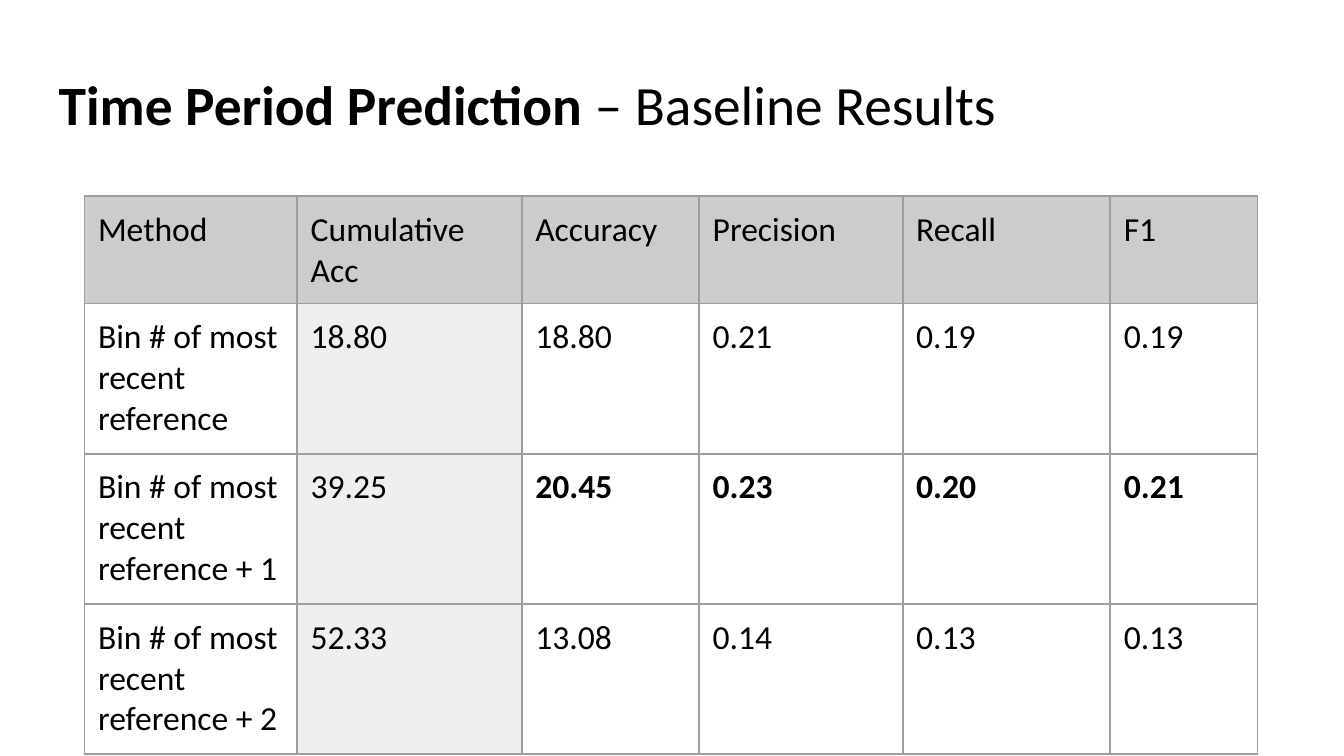
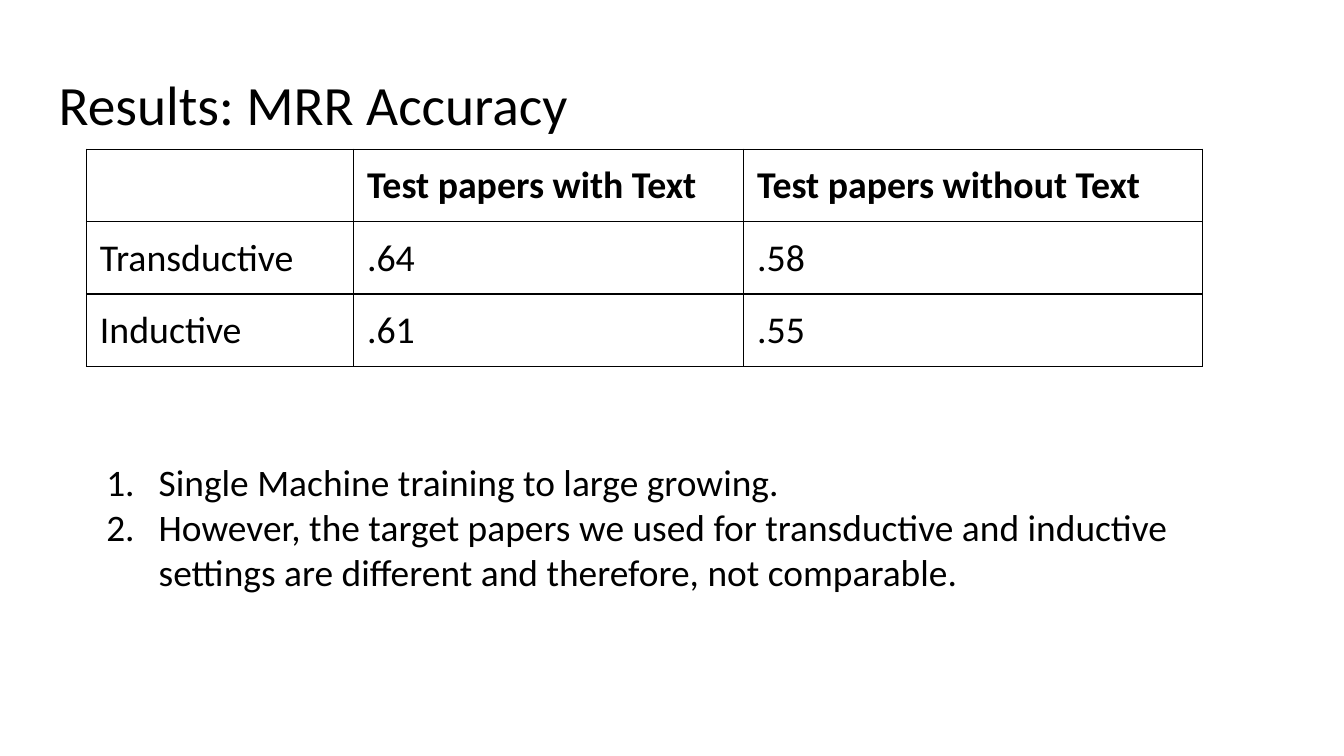
from dataclasses import dataclass
from lxml.etree import SubElement
from pptx import Presentation
from pptx.dml.color import RGBColor
from pptx.enum.text import MSO_ANCHOR
from pptx.oxml import parse_xml
from pptx.oxml.ns import nsdecls, qn
from pptx.slide import Slide
from pptx.table import _Cell
from pptx.text.text import TextFrame
from pptx.util import Cm, Pt

FONT = "Calibri"
BLACK, GREY, HEAD, PALE = "000000", "9E9E9E", "CCCCCC", "EFEFEF"
PAD = Cm(0.34)


@dataclass(frozen=True)
class Grid:
    left: float
    top: float
    cols: tuple[float, ...]
    rows: tuple[float, ...]
    text: tuple[tuple[str, ...], ...]
    size: float
    edge: str
    width: float
    bold: frozenset[tuple[int, int]]
    shaded: bool = False

    def fill(self, row: int, col: int) -> str | None:
        if not self.shaded:
            return None
        if row == 0:
            return HEAD
        return PALE if col == 1 else None


BASE = Grid(
    2.13, 4.93,
    (5.36, 5.66, 4.47, 5.13, 5.23, 3.71),
    (2.72,) + (3.78,) * 3,
    (
        ("Method", "Cumulative Acc", "Accuracy", "Precision", "Recall", "F1"),
        ("Bin # of most recent reference", "18.80", "18.80", "0.21", "0.19", "0.19"),
        ("Bin # of most recent reference + 1", "39.25", "20.45", "0.23", "0.20", "0.21"),
        ("Bin # of most recent reference + 2", "52.33", "13.08", "0.14", "0.13", "0.13"),
    ),
    24, GREY, 1.5,
    frozenset((2, col) for col in range(2, 6)),
    shaded=True,
)

MRR = Grid(
    2.18, 3.76,
    (6.73, 9.83, 11.56),
    (1.82,) * 3,
    (
        ("", "Test papers with Text", "Test papers without Text"),
        ("Transductive", ".64", ".58"),
        ("Inductive", ".61", ".55"),
    ),
    27, BLACK, 1,
    frozenset({(0, 1), (0, 2)}),
)

NOTES = (
    "Single Machine training to large growing.",
    "However, the target papers we used for transductive and inductive "
    "settings are different and therefore, not comparable.",
)


def paint(target, color: str) -> None:
    target.rgb = RGBColor.from_string(color)


def style(font, size: float, bold: bool | None = False) -> None:
    font.name = FONT
    font.size = Pt(size)
    font.bold = bold
    paint(font.color, BLACK)


def add_box(slide: Slide, left: float, top: float, width: float, height: float) -> TextFrame:
    frame = slide.shapes.add_textbox(Cm(left), Cm(top), Cm(width), Cm(height)).text_frame
    frame.word_wrap = True
    frame.margin_left = frame.margin_right = PAD
    frame.margin_top = frame.margin_bottom = PAD
    return frame


def add_title(slide: Slide, plain: str, strong: str = "") -> None:
    frame = add_box(slide, 1.14, 1.65, 31.55, 2.13)
    frame.vertical_anchor = MSO_ANCHOR.MIDDLE
    par = frame.paragraphs[0]
    par.line_spacing = 0.9
    style(par.font, 39.6, None)
    for text, bold in ((strong, True), (plain, False)):
        if text:
            run = par.add_run()
            run.text = text
            run.font.bold = bold


def add_edges(cell: _Cell, color: str, width: float) -> None:
    props = cell._tc.get_or_add_tcPr()
    for spot, side in enumerate("LRTB"):
        props.insert(spot, parse_xml(
            f'<a:ln{side} {nsdecls("a")} w="{Pt(width)}"><a:solidFill>'
            f'<a:srgbClr val="{color}"/></a:solidFill></a:ln{side}>'
        ))


def fill_cell(cell: _Cell, grid: Grid, row: int, col: int) -> None:
    cell.margin_left = cell.margin_right = PAD
    cell.margin_top = cell.margin_bottom = PAD
    color = grid.fill(row, col)
    if color:
        cell.fill.solid()
        paint(cell.fill.fore_color, color)
    else:
        cell.fill.background()
    add_edges(cell, grid.edge, grid.width)
    cell.text = grid.text[row][col]
    style(cell.text_frame.paragraphs[0].font, grid.size, (row, col) in grid.bold)


def add_grid(slide: Slide, grid: Grid) -> None:
    table = slide.shapes.add_table(
        len(grid.rows), len(grid.cols), Cm(grid.left), Cm(grid.top),
        Cm(sum(grid.cols)), Cm(sum(grid.rows)),
    ).table
    table.first_row = table.horz_banding = False
    for col, width in enumerate(grid.cols):
        table.columns[col].width = Cm(width)
    for row, height in enumerate(grid.rows):
        table.rows[row].height = Cm(height)
        for col in range(len(grid.cols)):
            fill_cell(table.cell(row, col), grid, row, col)


def add_list(slide: Slide, items: tuple[str, ...]) -> None:
    frame = add_box(slide, 1.96, 11.23, 29.31, 7.59)
    for spot, item in enumerate(items):
        par = frame.add_paragraph() if spot else frame.paragraphs[0]
        par.text = item
        props = par._p.get_or_add_pPr()
        props.set("marL", str(Cm(1.7)))
        props.set("indent", str(Cm(-1.32)))
        SubElement(props, qn("a:buFont"), typeface=FONT)
        SubElement(props, qn("a:buAutoNum"), type="arabicPeriod")
        style(par.font, 26.7)


def main() -> None:
    deck = Presentation()
    deck.slide_width, deck.slide_height = Cm(33.87), Cm(19.05)
    blank = deck.slide_layouts[6]

    first = deck.slides.add_slide(blank)
    add_title(first, " – Baseline Results", "Time Period Prediction")
    add_grid(first, BASE)

    second = deck.slides.add_slide(blank)
    add_title(second, "Results: MRR Accuracy")
    add_grid(second, MRR)
    add_list(second, NOTES)

    deck.save("out.pptx")


if __name__ == "__main__":
    main()
